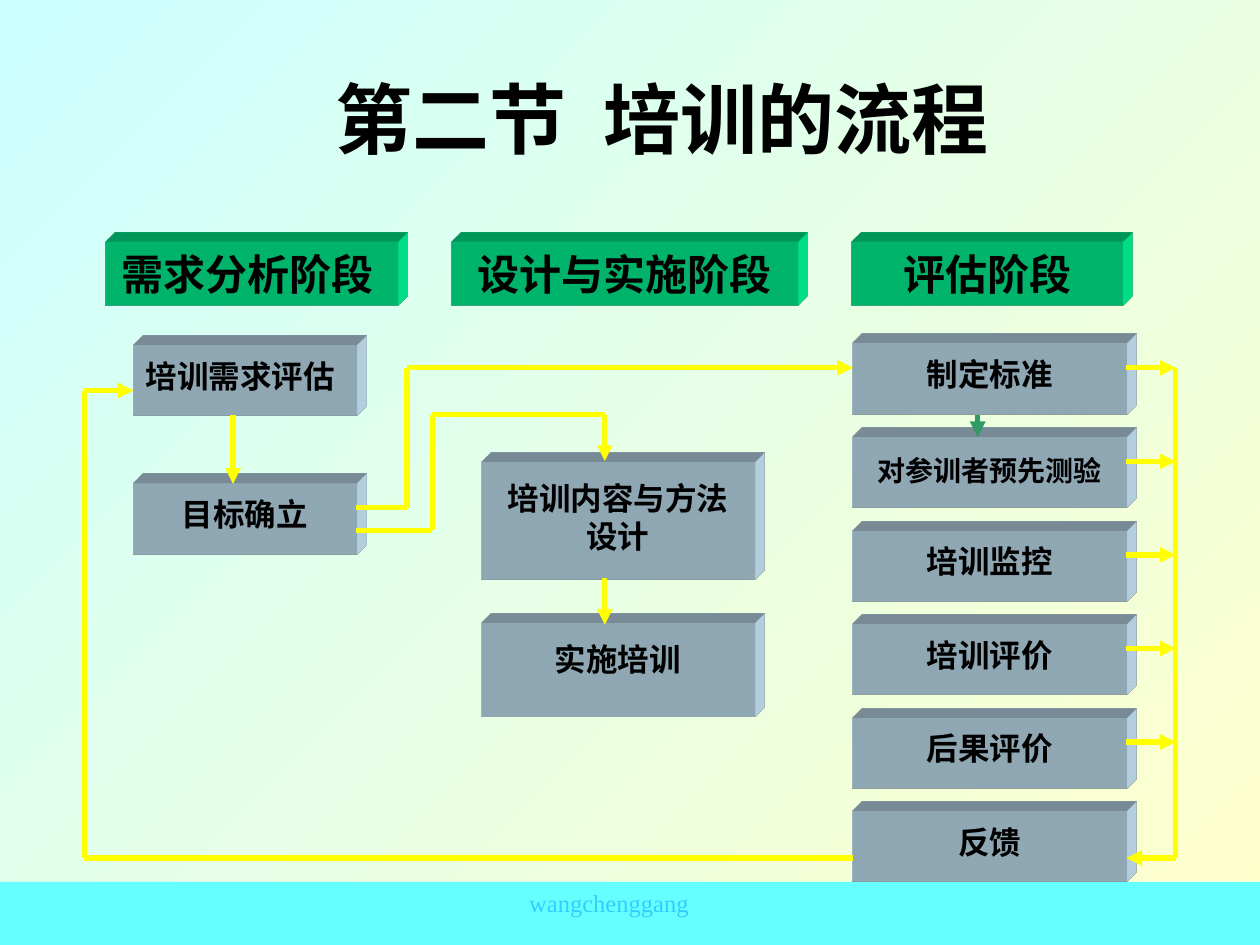
from dataclasses import dataclass
from lxml import etree
from pptx import Presentation
from pptx.dml.color import RGBColor as RGB
from pptx.enum.shapes import MSO_CONNECTOR as Connector, MSO_SHAPE as Preset
from pptx.enum.text import MSO_ANCHOR as Anchor, PP_ALIGN as Align
from pptx.oxml import parse_xml
from pptx.oxml.ns import qn
from pptx.util import Pt


@dataclass(frozen=True)
class Theme:
    ink: str = "000000"
    stage: str = "00FF99"
    step: str = "CCECFF"
    flow: str = "FFFF00"
    check: str = "339966"
    band: str = "66FFFF"
    footer: str = "33CCFF"
    sky: str = "CCFFFF"
    cream: str = "FFFFCC"
    latin: str = "Times New Roman"
    cjk: str = "Noto Sans CJK SC"
    title_size: int = 44
    stage_size: int = 24
    step_size: int = 18
    small_size: int = 16
    footer_size: int = 14


theme = Theme()
DRAWING = 'xmlns:a="http://schemas.openxmlformats.org/drawingml/2006/main"'


def write_text(shape, text, *, size, color=theme.ink, font=theme.latin, bold=True,
               align=Align.CENTER, anchor=Anchor.TOP, side=7.2, top=3.6):
    frame = shape.text_frame
    frame.word_wrap = True
    frame.vertical_anchor = anchor
    frame.margin_left = frame.margin_right = Pt(side)
    frame.margin_top, frame.margin_bottom = Pt(top), Pt(3.6)
    paragraph = frame.paragraphs[0]
    paragraph.alignment = align
    paragraph.space_before = Pt(0)
    for part in [text] if isinstance(text, str) else text:
        run = paragraph.add_run()
        run.text = part
        run.font.size, run.font.bold, run.font.name = Pt(size), bold, font
        run.font.color.rgb = RGB.from_string(color)
        etree.SubElement(run.font._element, qn("a:ea"), typeface=theme.cjk)
    return paragraph


def connect(start, end, color=theme.flow, arrow=False):
    link = slide.shapes.add_connector(Connector.STRAIGHT, *map(Pt, start + end))
    link.line.color.rgb = RGB.from_string(color)
    link.line.width = Pt(3)
    if arrow:
        etree.SubElement(link.line._get_or_add_ln(), qn("a:tailEnd"), type="triangle")
    etree.SubElement(link._element.spPr, qn("a:effectLst"))


deck = Presentation()
deck.slide_width, deck.slide_height = Pt(720), Pt(540)
slide = deck.slides.add_slide(deck.slide_layouts[5])

backdrop = slide.background.fill
backdrop.gradient()
backdrop.gradient_angle = 315
for stop, position, color in zip(backdrop.gradient_stops, (0, 1), (theme.sky, theme.cream)):
    stop.position = position
    stop.color.rgb = RGB.from_string(color)

band = slide.shapes.add_shape(Preset.RECTANGLE, Pt(0), Pt(504), Pt(720), Pt(36))
band.shadow.inherit = False
band.fill.solid()
band.fill.fore_color.rgb = RGB.from_string(theme.band)
band.line.fill.background()
footer = slide.shapes.add_textbox(Pt(234), Pt(504), Pt(228), Pt(24))
write_text(footer, "wangchenggang", size=theme.footer_size, color=theme.footer, bold=False)

title = slide.shapes.title
title.left, title.top, title.width, title.height = Pt(184.3), Pt(37.4), Pt(396), Pt(59.8)
heading = write_text(title, ["第二节", " ", "培训的流程"], size=theme.title_size,
                     align=Align.LEFT, anchor=Anchor.MIDDLE)
heading.runs[1].font._element.set("spc", "1100")
for run in heading.runs:
    run.font._element.find(qn("a:latin")).addprevious(parse_xml(
        f'<a:effectLst {DRAWING}><a:outerShdw dist="35921" dir="2700000">'
        '<a:srgbClr val="FFFFFF"/></a:outerShdw></a:effectLst>'))

step_format = dict(size=theme.step_size, top=6.5)
tall_format = dict(size=theme.step_size, top=9.4)
small_format = dict(size=theme.small_size, top=9.4, side=4.3)
stage_format = dict(size=theme.stage_size, font=theme.cjk, anchor=Anchor.MIDDLE)

need_x, need_w = 76.3, 127.4
design_x, design_w = 275, 156.2
review_x, review_w, review_y, pitch = 487.4, 156.3, 196.5, 53.45
step_h = 40.3
reviews = ["制定标准", "对参训者预先测验", "培训监控", "培训评价", "后果评价", "反馈"]

blocks = [
    ("培训需求评估", need_x, 197.3, need_w, step_h, theme.step, step_format | {"align": Align.JUSTIFY}),
    ("目标确立", need_x, 276.5, need_w, step_h, theme.step, step_format),
    ("培训内容与方法设计", design_x, 264.2, design_w, 67, theme.step, tall_format),
    ("实施培训", design_x, 356.4, design_w, 53.3, theme.step, tall_format),
]
for row, review in enumerate(reviews):
    blocks.append((review, review_x, review_y + row * pitch, review_w, step_h, theme.step,
                   small_format if row == 1 else step_format))
for stage, left, width in [("需求分析阶段 ", 60.5, 167), ("设计与实施阶段", 257.8, 198), ("评估阶段", 486.7, 154.8)]:
    blocks.append((stage, left, 138.2, width, 36.7, theme.stage, stage_format))

for text, left, top, width, height, color, style in blocks:
    block = slide.shapes.add_shape(Preset.RECTANGLE, *map(Pt, (left, top, width, height)))
    block.shadow.inherit = False
    block.fill.solid()
    block.fill.fore_color.rgb = RGB.from_string(color)
    block.line.fill.background()
    for depth in (
        '<a:scene3d {}><a:camera prst="legacyObliqueTopRight"/>'
        '<a:lightRig rig="legacyFlat3" dir="b"/></a:scene3d>',
        '<a:sp3d {} extrusionH="201600" prstMaterial="legacyMatte">'
        '<a:extrusionClr><a:srgbClr val="' + color + '"/></a:extrusionClr></a:sp3d>',
    ):
        block._element.spPr.append(parse_xml(depth.format(DRAWING)))
    write_text(block, text, **style)

need_right, review_right = need_x + need_w, review_x + review_w
flow_y, return_y = 210.2, 490.3
outer_x, inner_x, design_mid, loop_x, collect_x = 232.6, 247, 345.6, 48.2, 671.8

routes = [
    [(133.2, 237), (133.2, 276.5)],
    [(need_right, 290.2), (outer_x, 290.2), (outer_x, flow_y), (review_x, flow_y)],
    [(need_right, 303.1), (inner_x, 303.1), (inner_x, 236.9), (design_mid, 236.9), (design_mid, 263.5)],
    [(design_mid, 330.5), (design_mid, 357)],
    [(collect_x, flow_y), (collect_x, return_y), (review_right, return_y)],
    [(review_x, return_y), (loop_x, return_y), (loop_x, 223.2), (need_x, 223.2)],
]
for row in range(len(reviews) - 1):
    y = flow_y + row * pitch
    routes.append([(review_right, y), (collect_x, y)])
for route in routes:
    for leg, (start, end) in enumerate(zip(route, route[1:]), 2):
        connect(start, end, arrow=leg == len(route))
connect((558.7, 236.9), (558.7, 249.8), color=theme.check, arrow=True)

deck.save("out.pptx")
